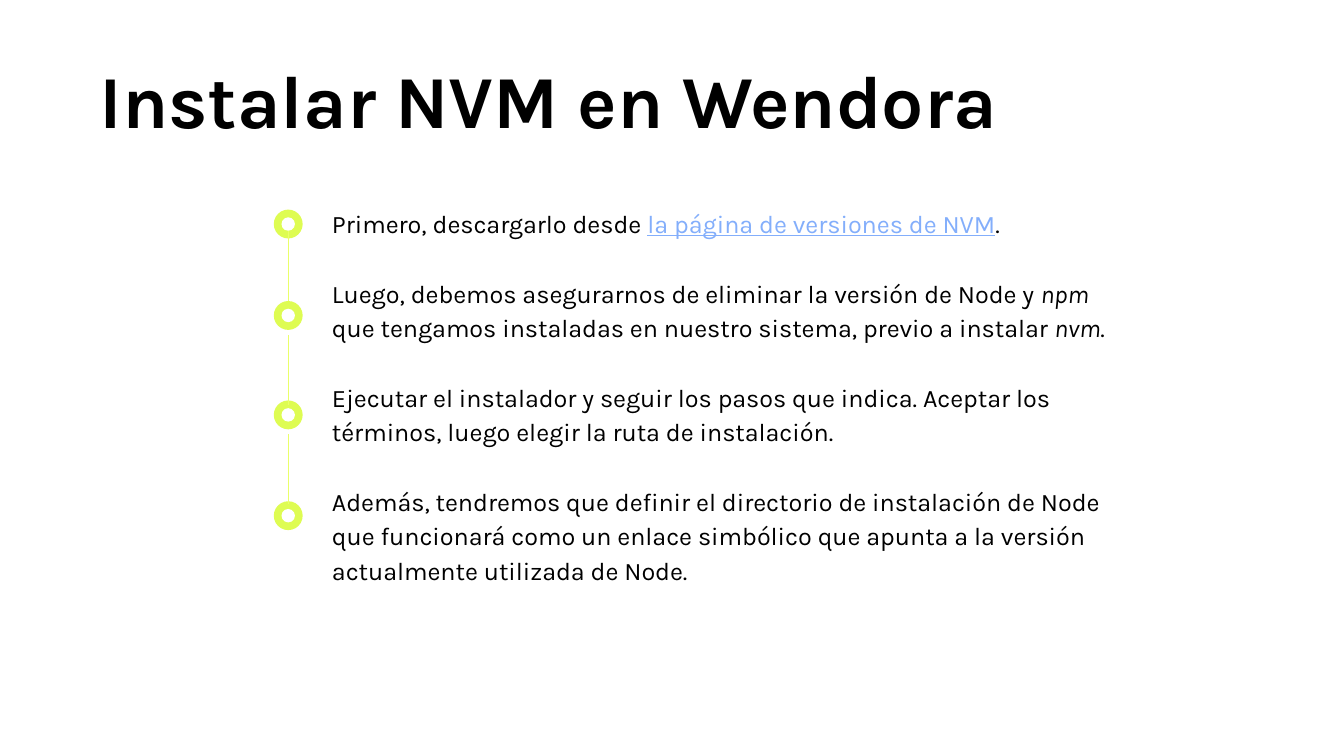
"""Build a slide with a four-step vertical timeline for installing NVM."""
from lxml import etree
from pptx import Presentation
from pptx.dml.color import RGBColor
from pptx.enum.shapes import MSO_CONNECTOR, MSO_SHAPE
from pptx.enum.text import MSO_ANCHOR, MSO_AUTO_SIZE, PP_ALIGN
from pptx.oxml.ns import qn
from pptx.util import Inches, Pt

OVAL, STRAIGHT = MSO_SHAPE.OVAL, MSO_CONNECTOR.STRAIGHT
TOP, NO_FIT = MSO_ANCHOR.TOP, MSO_AUTO_SIZE.NONE
LEFT, CENTER = PP_ALIGN.LEFT, PP_ALIGN.CENTER
BLACK = RGBColor(0x00, 0x00, 0x00)
WHITE = RGBColor(0xFF, 0xFF, 0xFF)
LIME = RGBColor(0xDE, 0xFC, 0x52)
PALE_LIME = RGBColor(0xEA, 0xFF, 0x6A)
LINK_BLUE = RGBColor(0x83, 0xAE, 0xFB)
CELL = Inches(0.1)

TITLE_FONT = {"name": "Karla", "size": Pt(40), "bold": True}
BODY_FONT = {"name": "Karla", "size": Pt(13.5)}
FRAME = {"word_wrap": True, "auto_size": NO_FIT, "vertical_anchor": TOP,
         "margin_left": CELL, "margin_right": CELL,
         "margin_top": CELL, "margin_bottom": CELL}
LINK = {"underline": True}
ITALIC = {"italic": True}
STEPS = [
    [("Primero, descargarlo desde ", {}),
     ("la página de versiones de NVM", LINK), (".", {})],
    [("Luego, debemos asegurarnos de eliminar la versión de Node y ", {}),
     ("npm", ITALIC),
     (" que tengamos instaladas en nuestro sistema, previo a instalar ", {}),
     ("nvm", ITALIC), (".", {})],
    [("Ejecutar el instalador y seguir los pasos que indica. Aceptar los "
      "términos, luego elegir la ruta de instalación.", {})],
    [("Además, tendremos que definir el directorio de instalación de Node "
      "que funcionará como un enlace simbólico que apunta a la versión "
      "actualmente utilizada de Node.", {})],
]
RING_ROWS = [15.6, 22.4, 29.8, 37.3]
LINK_ROWS = [17.2, 24.9, 32.3]
AXIS, LINK_HEIGHT = 21.45, 5.2


def cells(*counts):
    return [int(n * CELL) for n in counts]


def apply(obj, values):
    for key, value in values.items():
        setattr(obj, key, value)


prs = Presentation()
prs.slide_width, prs.slide_height = cells(100, 56.25)
s = prs.slides.add_slide(prs.slide_layouts[1])
title, body = s.placeholders
for sp, box in ((title, (3.7, 3, 74.2, 8.3)), (body, (18.7, 14.2, 65.5, 39.3))):
    apply(sp, dict(zip(("left", "top", "width", "height"), cells(*box))))
    apply(sp.text_frame, FRAME)

p = title.text_frame.paragraphs[0]
p.alignment = CENTER
r = p.add_run()
r.text = "Instalar NVM en Wendora"
apply(r.font, TITLE_FONT)
r.font.color.rgb = BLACK

tf = body.text_frame
for i, step in enumerate(STEPS):
    p = tf.add_paragraph() if i else tf.paragraphs[0]
    pPr = p._p.get_or_add_pPr()
    pPr.set("marL", str(5 * CELL))
    pPr.set("indent", "0")
    etree.SubElement(pPr, qn("a:buNone"))
    apply(p, {"alignment": LEFT, "line_spacing": 1.15,
              "space_before": Pt(18.5 if i else 0), "space_after": Pt(0)})
    for text, style in step:
        r = p.add_run()
        r.text = text
        apply(r.font, BODY_FONT | style)
        r.font.color.rgb = LINK_BLUE if style is LINK else BLACK

for row in RING_ROWS:
    for size, color in ((2.15, LIME), (1, WHITE)):
        inset = (2.15 - size) / 2
        sp = s.shapes.add_shape(
            OVAL, *cells(AXIS - size / 2, row + inset, size, size))
        sp.shadow.inherit = False
        sp.fill.solid()
        sp.fill.fore_color.rgb = color
        sp.line.fill.background()

for row in LINK_ROWS:
    line = s.shapes.add_connector(
        STRAIGHT, *cells(AXIS, row + LINK_HEIGHT, AXIS, row))
    line.line.color.rgb = PALE_LIME
    line.line.width = Pt(0.75)
    etree.SubElement(line._element.spPr, qn("a:effectLst"))

prs.save("out.pptx")
